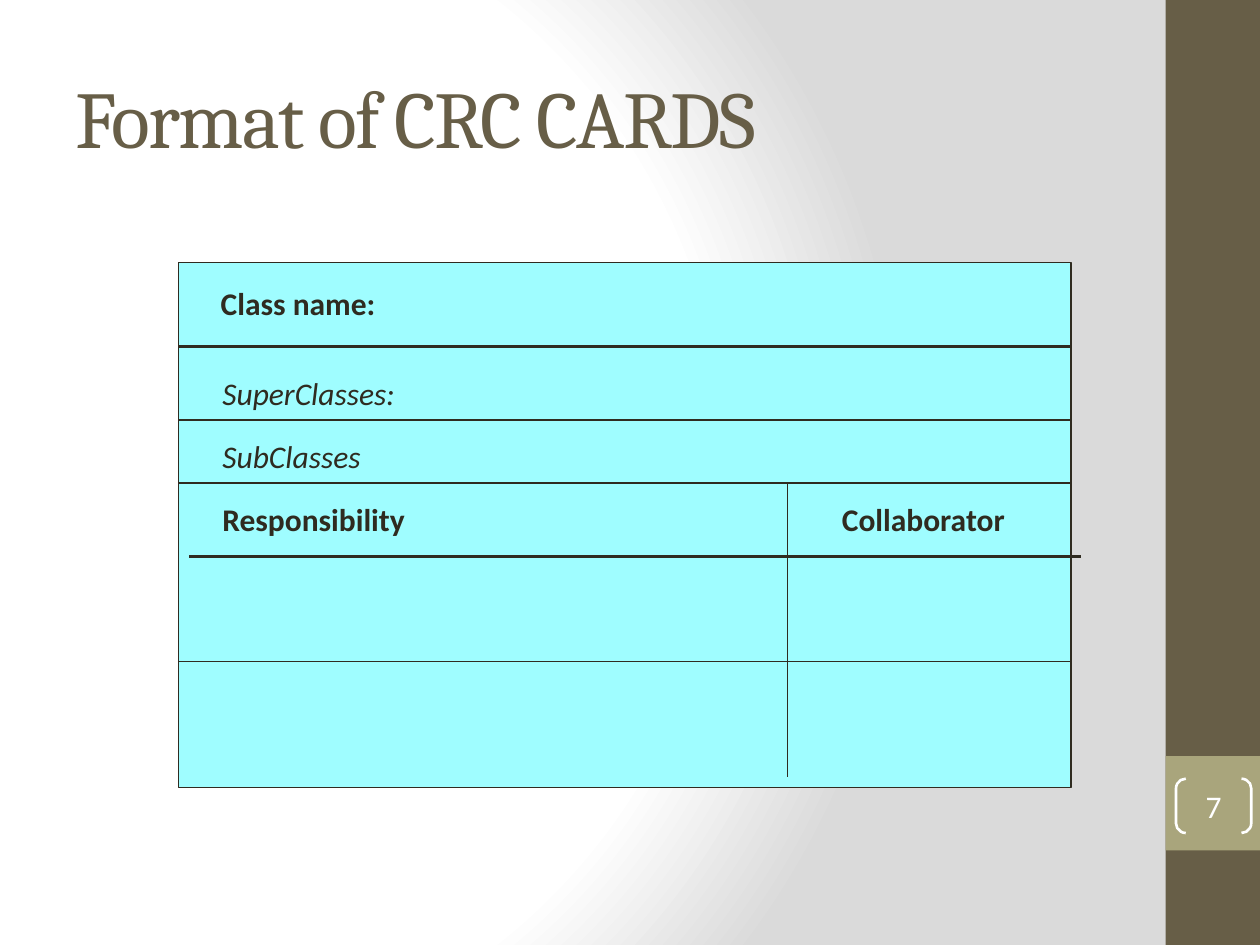
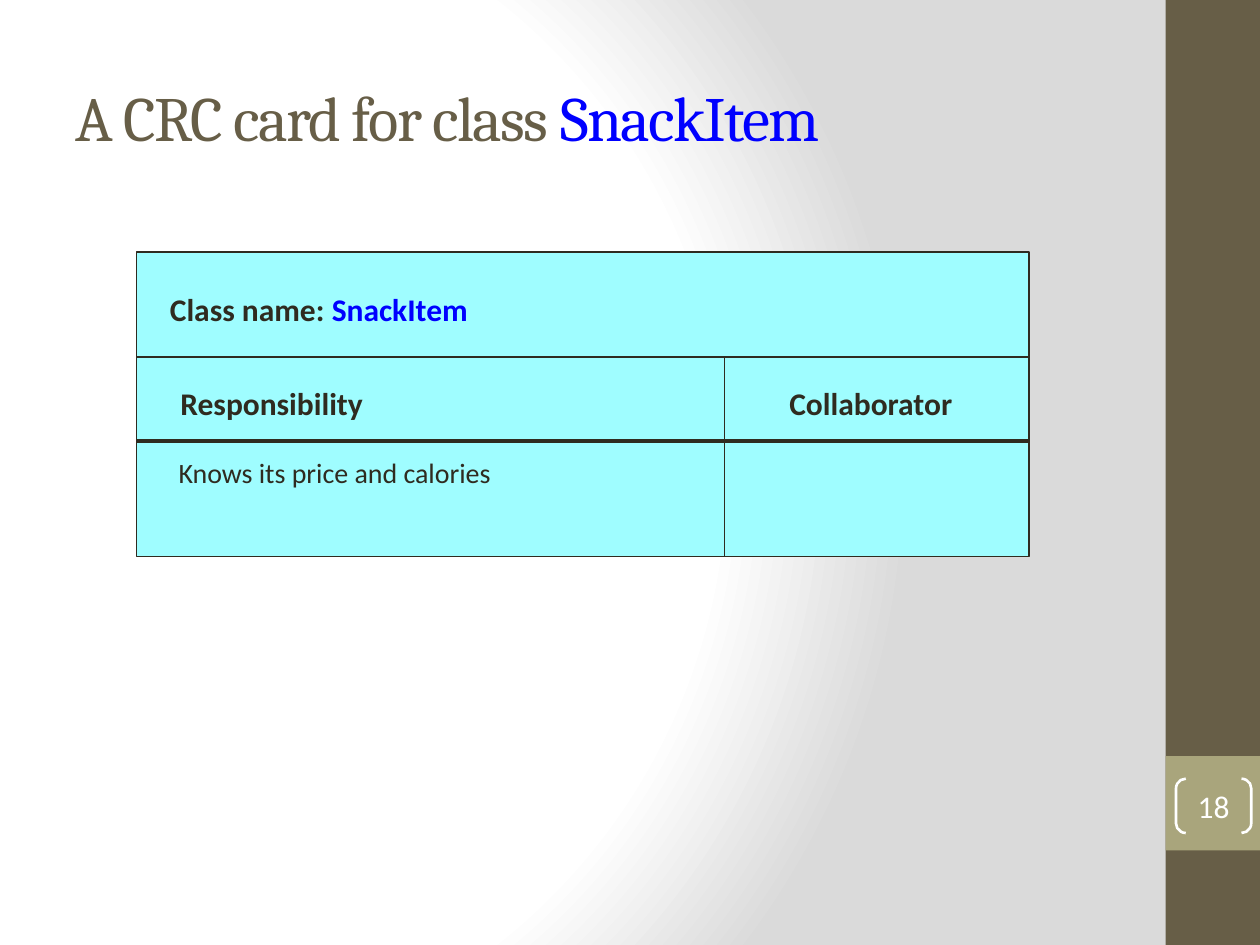
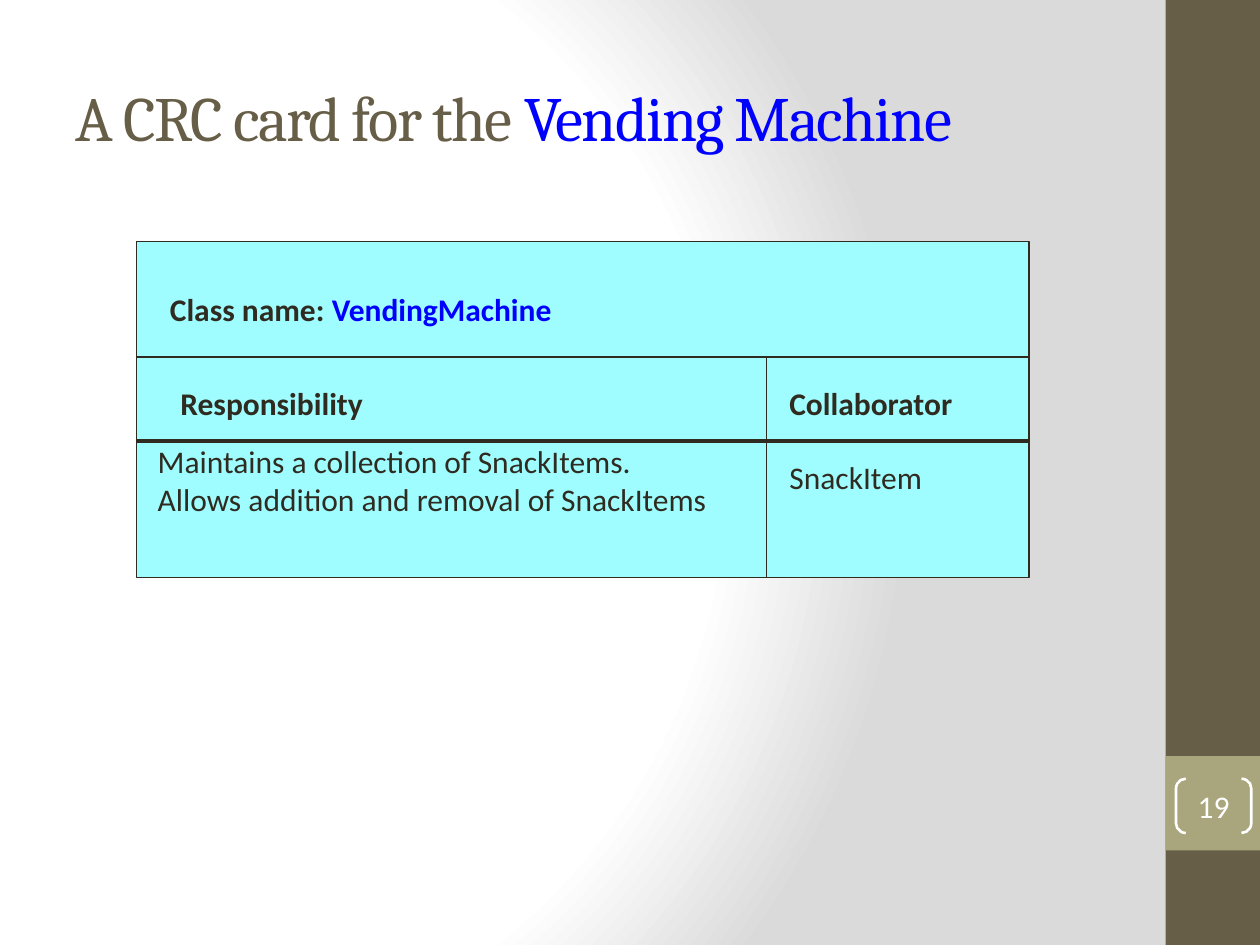
from dataclasses import dataclass

from lxml import etree
from pptx import Presentation
from pptx.dml.color import RGBColor
from pptx.enum.shapes import MSO_CONNECTOR as Connector, MSO_SHAPE as Shape
from pptx.enum.text import MSO_ANCHOR as Anchor, MSO_AUTO_SIZE as AutoSize, PP_ALIGN as Align
from pptx.oxml import parse_xml
from pptx.oxml.ns import nsdecls, qn
from pptx.util import Pt


@dataclass(frozen=True)
class Theme:
    band: str = "675E47"
    number_band: str = "A9A57C"
    ink: str = "2F2B20"
    accent: str = "0000FF"
    card: str = "9FFDFF"
    white: str = "FFFFFF"
    backdrop: str = "DADADA"
    title_font: str = "Cambria"
    body_font: str = "Calibri"
    large_title: int = 46
    title: int = 36
    body: int = 18
    small: int = 16
    thin: float = 0.75
    medium: float = 1.5
    thick: float = 2.25


@dataclass(frozen=True)
class Box:
    left: float
    top: float
    width: float
    height: float

    def points(self):
        return [Pt(v) for v in (self.left, self.top, self.width, self.height)]


THEME = Theme()
PAGE = Box(0, 0, 720, 540)
BAND = Box(666, 0, 54, 540)
NUMBER_BAND = Box(666, 432, 54, 54)
NUMBER = Box(672, 445, 43, 31)
TITLE = Box(36, 21.6, 600, 90)


def rgb(color):
    return RGBColor.from_string(color)


def add_block(slide, kind, box, fill=None, line=None, weight=THEME.thin):
    block = slide.shapes.add_shape(kind, *box.points())
    block.shadow.inherit = False
    if fill:
        block.fill.solid()
        block.fill.fore_color.rgb = rgb(fill)
    else:
        block.fill.background()
    if line:
        block.line.color.rgb = rgb(line)
        block.line.width = Pt(weight)
    else:
        block.line.fill.background()
    return block


def style(font, size, color, name=THEME.body_font, bold=False, italic=False):
    font.name, font.size = name, Pt(size)
    font.bold, font.italic = bold, italic
    font.color.rgb = rgb(color)


def add_runs(paragraph, text, accent=""):
    """Write the text, then its accented ending in the accent colour."""
    paragraph.add_run().text = text
    if accent:
        ending = paragraph.add_run()
        ending.text = accent
        ending.font.color.rgb = rgb(THEME.accent)


def add_label(slide, card, x, y, width, *lines, accent="", size=THEME.body,
              bold=False, italic=False):
    """Place text at x, y from the card's top left corner."""
    box = Box(card.left + x, card.top + y, width, 7 + 22 * len(lines))
    frame = slide.shapes.add_textbox(*box.points()).text_frame
    frame.word_wrap = True
    for i, line in enumerate(lines):
        paragraph = frame.add_paragraph() if i else frame.paragraphs[0]
        add_runs(paragraph, line, accent)
        style(paragraph.font, size, THEME.ink, bold=bold, italic=italic)


def add_rule(slide, card, start, end, weight):
    """Draw a line between two points given from the card's top left corner."""
    ends = [Pt(v) for x, y in (start, end) for v in (card.left + x, card.top + y)]
    rule = slide.shapes.add_connector(Connector.STRAIGHT, *ends)
    rule.line.color.rgb = rgb(THEME.ink)
    rule.line.width = Pt(weight)
    etree.SubElement(rule.element.spPr, qn("a:effectLst"))


def add_row_rule(slide, card, y, weight, shift=0):
    add_rule(slide, card, (shift, y), (card.width + shift, y), weight)


def add_headings(slide, card, y, collaborator_x):
    add_label(slide, card, 18, y, 138, "Responsibility", bold=True)
    add_label(slide, card, collaborator_x, y, 122, "Collaborator", bold=True)


def dress_master(prs, slide):
    """Give the master its radial background and the side bands."""
    master = prs.slide_master
    master.background.fill.gradient()
    gradient = master.element.find(".//" + qn("a:gradFill"))
    stops = "".join(
        f'<a:gs pos="{pos * 1000}"><a:srgbClr val="{color}"/></a:gs>'
        for pos, color in ((0, THEME.white), (75, THEME.white), (100, THEME.backdrop)))
    gradient.getparent().replace(gradient, parse_xml(
        f'<a:gradFill {nsdecls("a")} rotWithShape="1"><a:gsLst>{stops}</a:gsLst>'
        '<a:path path="circle"><a:fillToRect l="20000" t="50000" r="100000" b="50000"/>'
        '</a:path></a:gradFill>'))
    bands = ((BAND, THEME.band), (NUMBER_BAND, THEME.number_band))
    for position, (box, color) in enumerate(bands, start=2):
        band = add_block(slide, Shape.RECTANGLE, box, color)
        master.shapes.element.insert(position, band.element)


def add_title(slide, box, size, text, accent=""):
    title = slide.shapes.title
    title.left, title.top, title.width, title.height = box.points()
    frame = title.text_frame
    frame.auto_size = AutoSize.NONE
    frame.vertical_anchor = Anchor.MIDDLE
    paragraph = frame.paragraphs[0]
    paragraph.alignment = Align.LEFT
    add_runs(paragraph, text, accent)
    style(paragraph.font, size, THEME.band, THEME.title_font)
    for run in paragraph.runs:
        run.font.language_id = None
        run.font._element.set("spc", "-100")


def add_number(slide, box, number):
    bracket = add_block(slide, Shape.DOUBLE_BRACKET, box, line=THEME.white,
                        weight=THEME.medium)
    bracket.adjustments[0] = 0.18
    frame = bracket.text_frame
    frame.margin_left = frame.margin_right = frame.margin_top = frame.margin_bottom = 0
    frame.vertical_anchor = Anchor.MIDDLE
    paragraph = frame.paragraphs[0]
    paragraph.text = str(number)
    paragraph.alignment = Align.CENTER
    style(paragraph.font, THEME.body, THEME.white)


def add_slide(prs, number, title_size, text, accent=""):
    slide = prs.slides.add_slide(prs.slide_layouts[5])
    add_title(slide, TITLE, title_size, text, accent)
    add_number(slide, NUMBER, number)
    return slide


def add_card(slide, card):
    add_block(slide, Shape.RECTANGLE, card, THEME.card, THEME.ink)


def add_blank_card(slide, card):
    add_card(slide, card)
    add_row_rule(slide, card, 48, THEME.thick)
    add_row_rule(slide, card, 90, THEME.medium)
    add_row_rule(slide, card, 126, THEME.medium)
    add_row_rule(slide, card, 168, THEME.thick, shift=6)
    add_row_rule(slide, card, 228, THEME.thin)
    add_rule(slide, card, (348, 126), (348, card.height - 6), THEME.thin)
    add_label(slide, card, 17, 9, 120, "Class name:", bold=True)
    add_label(slide, card, 18, 60, 132, "SuperClasses:", italic=True)
    add_label(slide, card, 18, 96, 110, "SubClasses", italic=True)
    add_headings(slide, card, 132, 372)


def add_class_card(slide, card, class_name, name_height, column_x):
    """Draw a filled-in card and return the top of its responsibility row."""
    row_top = name_height + 48
    add_card(slide, card)
    add_row_rule(slide, card, name_height, THEME.medium)
    add_row_rule(slide, card, row_top, THEME.thick)
    add_rule(slide, card, (column_x, name_height), (column_x, card.height), THEME.thin)
    add_label(slide, card, 12, name_height - 42, 318, "Class name: ",
              accent=class_name, bold=True)
    add_headings(slide, card, name_height + 12, 366)
    return row_top


def main():
    prs = Presentation()
    prs.slide_width, prs.slide_height = Pt(PAGE.width), Pt(PAGE.height)

    card_format = add_slide(prs, 7, THEME.large_title, "Format of CRC CARDS")
    dress_master(prs, card_format)
    add_blank_card(card_format, Box(102, 150, 510, 300))

    snack = add_slide(prs, 18, THEME.title, "A CRC card for class ", "SnackItem")
    snack_card = Box(78, 144, 510, 174)
    row_top = add_class_card(snack, snack_card, "SnackItem", 60, 336)
    add_label(snack, snack_card, 17, row_top + 5, 213, "Knows its price and calories",
              size=THEME.small)

    machine = add_slide(prs, 19, THEME.title, "A CRC card for the ", "Vending Machine")
    machine_card = Box(78, 138, 510, 192)
    row_top = add_class_card(machine, machine_card, "VendingMachine", 66, 360)
    add_label(machine, machine_card, 5, row_top - 3, 358,
              "Maintains a collection of SnackItems.",
              "Allows addition and removal of SnackItems")
    add_label(machine, machine_card, 366, row_top + 6, 99, "SnackItem")

    prs.save("out.pptx")


if __name__ == "__main__":
    main()
